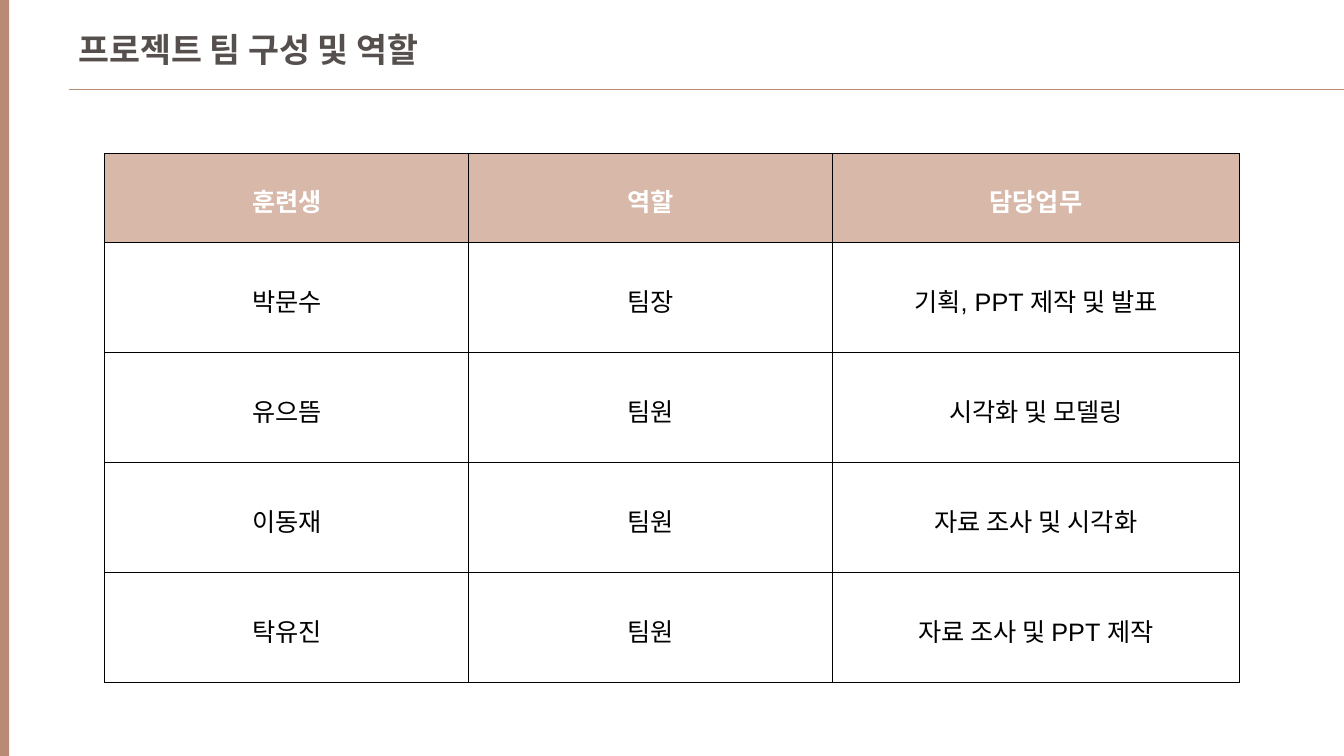
import pptx
import pptx.dml.color
import pptx.enum.shapes
import pptx.enum.text
import pptx.oxml
import pptx.oxml.ns
import pptx.util
from pptx.dml.color import RGBColor
from pptx.util import Inches

CLAY = RGBColor(0xB9, 0x8A, 0x76)
HEADER = RGBColor(0xD8, 0xB8, 0xA9)
TITLE = RGBColor(0x55, 0x4F, 0x4D)
WHITE = RGBColor(0xFF, 0xFF, 0xFF)
BLACK = RGBColor(0x00, 0x00, 0x00)
FONT = "Arial"

MEMBERS = [
    ("훈련생", "역할", "담당업무"),
    ("박문수", "팀장", "기획, PPT 제작 및 발표"),
    ("유으뜸", "팀원", "시각화 및 모델링"),
    ("이동재", "팀원", "자료 조사 및 시각화"),
    ("탁유진", "팀원", "자료 조사 및 PPT 제작"),
]
COLUMN_WIDTHS = [3.61, 3.61, 4.03]
ROW_HEIGHTS = [0.89] + [1.09] * 4


def format_text(para, size, color, bold):
    for span in para.runs:
        span.font.name = FONT
        span.font.size = pptx.util.Pt(size)
        span.font.color.rgb = color
        span.font.bold = bold


def add_borders(cell):
    properties = cell._tc.get_or_add_tcPr()
    for position, side in enumerate(("lnL", "lnR", "lnT", "lnB")):
        border = pptx.oxml.parse_xml(
            f'<a:{side} {pptx.oxml.ns.nsdecls("a")} w="9525"><a:solidFill>'
            f'<a:srgbClr val="{BLACK}"/></a:solidFill></a:{side}>'
        )
        properties.insert(position, border)


deck = pptx.Presentation()
deck.slide_width = Inches(13.33)
deck.slide_height = Inches(7.5)
page = deck.slides.add_slide(deck.slide_layouts[5])

rule = page.shapes.add_connector(
    pptx.enum.shapes.MSO_CONNECTOR.STRAIGHT,
    Inches(0.68), Inches(0.89), Inches(13.33), Inches(0.89),
)
rule.line.color.rgb = CLAY
rule.line.width = pptx.util.Pt(0.75)
rule._element.spPr.append(pptx.oxml.parse_xml(f'<a:effectLst {pptx.oxml.ns.nsdecls("a")}/>'))

side_bar = page.shapes.add_shape(
    pptx.enum.shapes.MSO_SHAPE.RECTANGLE, 0, 0, Inches(0.09), Inches(7.52)
)
side_bar.shadow.inherit = False
side_bar.fill.solid()
side_bar.fill.fore_color.rgb = CLAY
side_bar.line.fill.background()

title = page.shapes.title
title.left, title.top = Inches(0.68), Inches(0.24)
title.width, title.height = Inches(4.34), Inches(0.5)
title.text_frame.text = "프로젝트 팀 구성 및 역할"
title.text_frame.word_wrap = True
title.text_frame.auto_size = pptx.enum.text.MSO_AUTO_SIZE.SHAPE_TO_FIT_TEXT
title.text_frame.vertical_anchor = pptx.enum.text.MSO_ANCHOR.TOP
title_para = title.text_frame.paragraphs[0]
title_para.alignment = pptx.enum.text.PP_ALIGN.LEFT
format_text(title_para, 24, TITLE, True)

table = page.shapes.add_table(
    len(MEMBERS), len(COLUMN_WIDTHS), Inches(1.04), Inches(1.52),
    Inches(sum(COLUMN_WIDTHS)), Inches(sum(ROW_HEIGHTS)),
).table
table.horz_banding = False
for column, width in zip(table.columns, COLUMN_WIDTHS):
    column.width = Inches(width)
for row, height in zip(table.rows, ROW_HEIGHTS):
    row.height = Inches(height)

for row_index, member in enumerate(MEMBERS):
    is_header = row_index == 0
    for column_index, text in enumerate(member):
        cell = table.cell(row_index, column_index)
        cell.text_frame.text = text
        cell.vertical_anchor = pptx.enum.text.MSO_ANCHOR.MIDDLE
        cell.margin_left = cell.margin_right = Inches(0.1)
        cell.margin_top = cell.margin_bottom = Inches(0.1)
        if is_header:
            cell.fill.solid()
            cell.fill.fore_color.rgb = HEADER
        else:
            cell.fill.background()
        add_borders(cell)
        para = cell.text_frame.paragraphs[0]
        para.alignment = pptx.enum.text.PP_ALIGN.CENTER
        para.line_spacing = 1.15
        format_text(para, 18, WHITE if is_header else BLACK, is_header)

deck.save("out.pptx")
